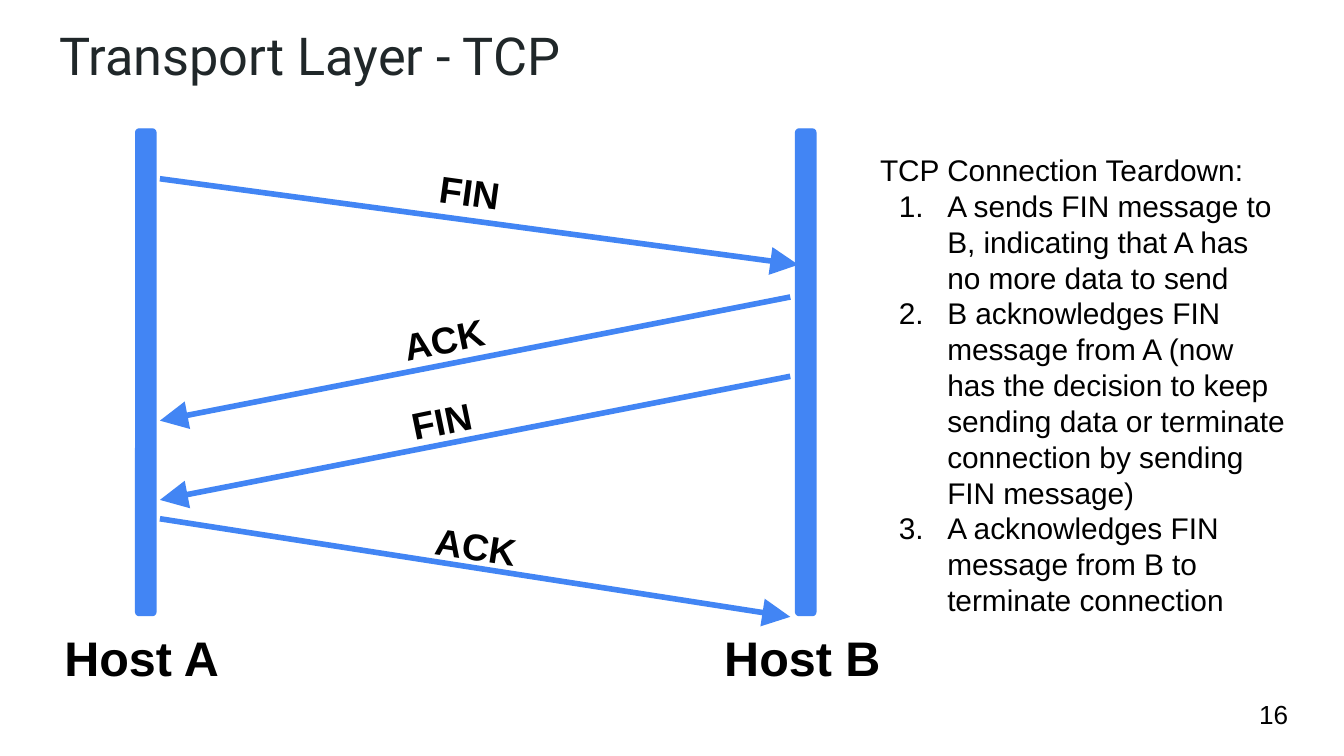
"""Build a slide showing the TCP connection teardown between two hosts."""
from lxml import etree
from pptx import Presentation
from pptx import util as u
from pptx.dml.color import RGBColor
from pptx.enum import shapes, text
from pptx.oxml import ns

BLUE = RGBColor(0x42, 0x85, 0xF4)
BLACK = RGBColor(0, 0, 0)
SLATE = RGBColor(0x20, 0x27, 0x29)

deck = Presentation()
deck.slide_width = u.Inches(10)
deck.slide_height = deck.slide_width * 9 // 16
page = deck.slides.add_slide(deck.slide_layouts[6])
CELL = deck.slide_width / 100


def grid(*counts):
    """Turn counts of square grid cells into lengths."""
    return [round(count * CELL) for count in counts]


def add_text(place, lines, size, bold=False, font="Arial", color=BLACK):
    """Add a text box with one paragraph for each line."""
    box = page.shapes.add_textbox(*grid(*place))
    frame = box.text_frame
    frame.word_wrap = True
    frame.margin_left, frame.margin_top, frame.margin_right, frame.margin_bottom = grid(1, 1, 1, 1)
    frame.text = "\n".join(lines)
    for para in frame.paragraphs:
        for span in para.runs:
            span.font.size = u.Pt(size)
            span.font.bold = bold
            span.font.name = font
            span.font.color.rgb = color
    return box


add_text((3.45, 0.7, 93.2, 6.3), ["Transport Layer - TCP"], 28, font="Roboto", color=SLATE)
number = add_text((92.7, 51, 6, 4.3), ["16"], 14)
number.text_frame.vertical_anchor = text.MSO_ANCHOR.MIDDLE

for host, left in (("Host A", 10.1), ("Host B", 59.2)):
    bar = page.shapes.add_shape(shapes.MSO_SHAPE.ROUNDED_RECTANGLE, *grid(left, 9.6, 1.5, 36.2))
    bar.shadow.inherit = False
    bar.fill.solid()
    bar.fill.fore_color.rgb = BLUE
    bar.line.color.rgb = BLUE
    bar.line.width = u.Pt(0.75)
    add_text((left - 6.3, 45.7, 14.1, 5.5), [host], 26, bold=True)

messages = [
    ("FIN", (11.9, 13.3, 59.4, 19.7), (31.8, 11.7, 7.7, 4.3), 8, 1),
    ("ACK", (58.8, 22.1, 11.9, 31.3), (28.2, 22.5, 10.1, 4.3), -11.6, 1.7),
    ("FIN", (58.8, 28, 11.9, 37.2), (28.8, 28.5, 8.9, 4.3), -11.6, 1.7),
    ("ACK", (11.9, 38.6, 58.8, 45.9), (31.5, 38, 8.3, 4.3), 8.8, 1),
]
for name, ends, place, angle, inset in messages:
    arrow = page.shapes.add_connector(shapes.MSO_CONNECTOR.STRAIGHT, *grid(*ends))
    arrow.line.color.rgb = BLUE
    arrow.line.width = u.Pt(3)
    outline = arrow._element.spPr.find(ns.qn("a:ln"))
    etree.SubElement(outline, ns.qn("a:tailEnd"), type="triangle", w="lg", len="lg")
    etree.SubElement(arrow._element.spPr, ns.qn("a:effectLst"))
    label = add_text(place, [name], 20, bold=True)
    label.text_frame.margin_left = grid(inset)[0]
    label.rotation = angle

steps = add_text((64.5, 10.3, 32.3, 36.2), [
    "TCP Connection Teardown:",
    "A sends FIN message to B, indicating that A has no more data to send",
    "B acknowledges FIN message from A (now has the decision to keep sending data "
    "or terminate connection by sending FIN message)",
    "A acknowledges FIN message from B to terminate connection",
], 16)
indent, hanging = grid(5, -3.6)
for para in steps.text_frame.paragraphs[1:]:
    props = para._p.get_or_add_pPr()
    props.set("marL", str(indent))
    props.set("indent", str(hanging))
    etree.SubElement(props, ns.qn("a:buFont"), typeface="Arial")
    etree.SubElement(props, ns.qn("a:buAutoNum"), type="arabicPeriod")

deck.save("out.pptx")
